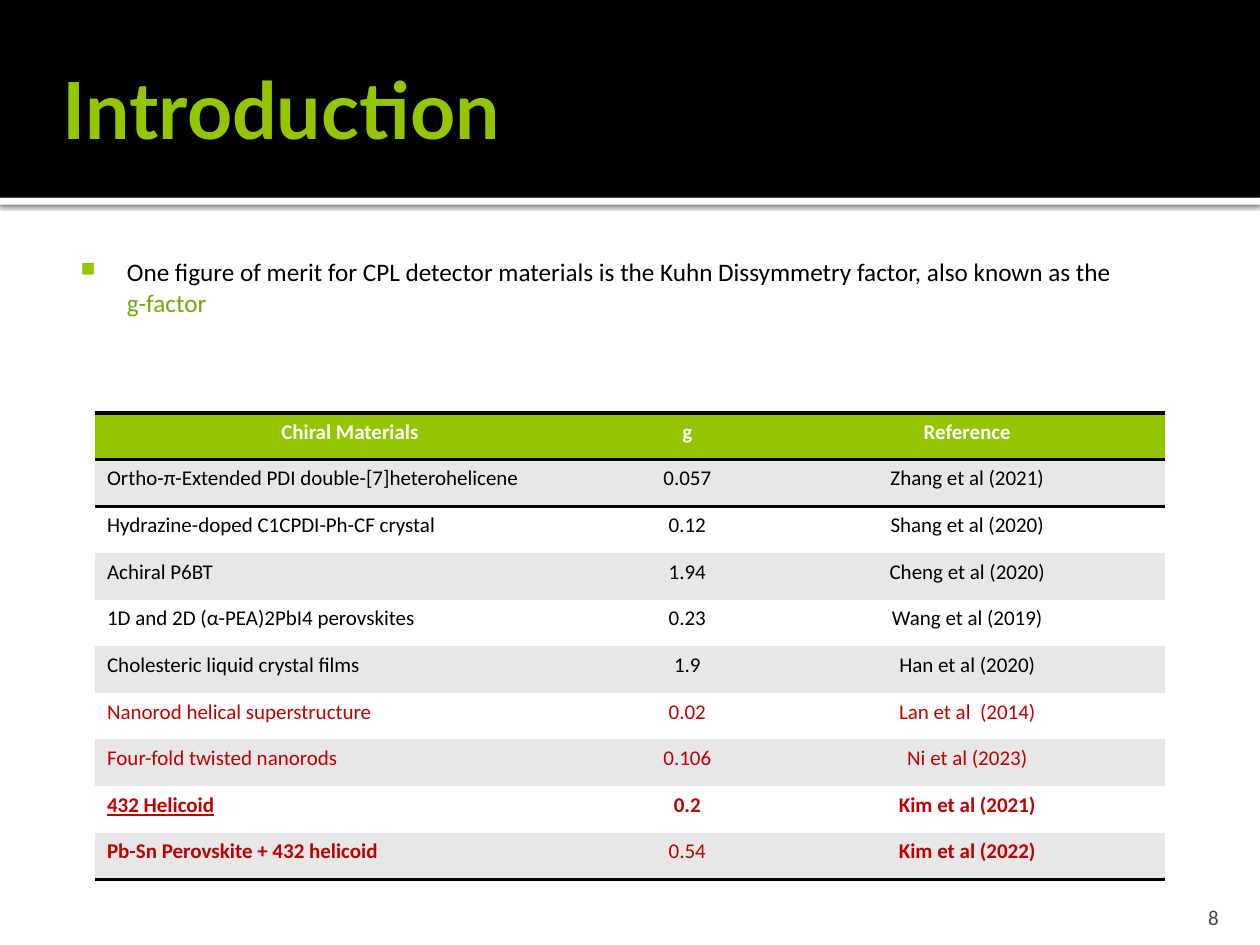
from pptx import Presentation
from pptx.dml.color import RGBColor
from pptx.enum.shapes import MSO_SHAPE as Shape
from pptx.enum.text import MSO_ANCHOR as Anchor, PP_ALIGN as Align
from pptx.oxml import parse_xml
from pptx.oxml.ns import nsdecls, qn
from pptx.util import Pt

THEME = {
    "black": "000000", "white": "FFFFFF", "green": "94C600", "dark_green": "74A510",
    "red": "C00000", "band": "E7E7E7", "grey": "454545",
    "title_font": "Lato", "font": "Calibri",
    "title_size": 45, "body_size": 14.4, "small_size": 12, "rule": 2,
}
NO_STYLE = "{2D5ABB26-0587-4C30-8999-92F81FD0307C}"

TITLE = "Introduction"
STATEMENT = ("One figure of merit for CPL detector materials is the Kuhn Dissymmetry factor, "
             "also known as the ")
KEY_TERM = "g-factor"
PAGE_NUMBER = "8"

HEADINGS = ("Chiral Materials", "g", "Reference")
MATERIALS = [
    ("Ortho-π-Extended PDI double-[7]heterohelicene", "0.057", "Zhang et al (2021)"),
    ("Hydrazine-doped C1CPDI-Ph-CF crystal", "0.12", "Shang et al (2020)"),
    ("Achiral P6BT", "1.94", "Cheng et al (2020)"),
    ("1D and 2D (α-PEA)2PbI4 perovskites", "0.23", "Wang et al (2019)"),
    ("Cholesteric liquid crystal films", "1.9", "Han et al (2020)"),
    ("Nanorod helical superstructure", "0.02", "Lan et al  (2014)"),
    ("Four-fold twisted nanorods", "0.106", "Ni et al (2023)"),
    ("432 Helicoid", "0.2", "Kim et al (2021)"),
    ("Pb-Sn Perovskite + 432 helicoid", "0.54", "Kim et al (2022)"),
]
FIRST_RED_ROW = 6
BOLD_CELLS = {(8, 0), (8, 1), (8, 2), (9, 0), (9, 2)}
UNDERLINED_CELLS = {(8, 0)}

SLIDE_SIZE = (720, 540)
HEADER_HEIGHT = 113
STRIP_HEIGHT = 4
TABLE_LEFT, TABLE_TOP = 54, 236
COLUMN_WIDTHS = (292, 93.5, 226.5)
ROW_HEIGHT = 26.65


def color(name):
    return RGBColor.from_string(THEME[name])


def add_run(paragraph, text, size, color_name, font="font", bold=False, underline=False):
    run = paragraph.add_run()
    run.text = text
    run.font.name = THEME[font]
    run.font.size = Pt(THEME[size])
    run.font.color.rgb = color(color_name)
    run.font.bold = bold
    run.font.underline = underline


def add_band(slide, top, height, color_name):
    band = slide.shapes.add_shape(Shape.RECTANGLE, 0, Pt(top), Pt(SLIDE_SIZE[0]), Pt(height))
    band.shadow.inherit = False
    band.fill.solid()
    band.fill.fore_color.rgb = color(color_name)
    band.line.fill.background()
    return band


def add_drop_shadow(shape):
    effects = shape.element.spPr.find(qn("a:effectLst"))
    effects.append(parse_xml(
        f'<a:outerShdw {nsdecls("a")} blurRad="{Pt(2.5)}" dist="{Pt(0.8)}" dir="5400000" '
        f'algn="tl" rotWithShape="0"><a:srgbClr val="{THEME["black"]}">'
        '<a:alpha val="60000"/></a:srgbClr></a:outerShdw>'))


def add_text_box(slide, box, margins, anchor=Anchor.TOP):
    """Add an empty wrapping box and return its first paragraph."""
    frame = slide.shapes.add_textbox(*map(Pt, box)).text_frame
    frame.word_wrap = True
    frame.vertical_anchor = anchor
    (frame.margin_left, frame.margin_top,
     frame.margin_right, frame.margin_bottom) = map(Pt, margins)
    return frame.paragraphs[0]


def set_bullet(paragraph):
    properties = paragraph._p.get_or_add_pPr()
    properties.set("marL", str(Pt(36.5)))
    properties.set("indent", str(Pt(-26.5)))
    for tag, content in (
        ("buClr", f'><a:srgbClr val="{THEME["green"]}"/></a:buClr>'),
        ("buSzPct", ' val="80000"/>'),
        ("buChar", ' char="■"/>'),
    ):
        properties.append(parse_xml(f'<a:{tag} {nsdecls("a")}{content}'))


def add_rule(cell, side):
    """Draw a black border on one side of a cell: T is top, B is bottom."""
    cell._tc.get_or_add_tcPr().append(parse_xml(
        f'<a:ln{side} {nsdecls("a")} w="{Pt(THEME["rule"])}"><a:solidFill>'
        f'<a:srgbClr val="{THEME["black"]}"/></a:solidFill></a:ln{side}>'))


def add_materials_table(slide):
    rows = [HEADINGS, *MATERIALS]
    last = len(rows) - 1
    table = slide.shapes.add_table(
        len(rows), len(HEADINGS), Pt(TABLE_LEFT), Pt(TABLE_TOP),
        Pt(sum(COLUMN_WIDTHS)), Pt(ROW_HEIGHT * len(rows))).table
    table._tbl.tblPr.find(qn("a:tableStyleId")).text = NO_STYLE
    for column, width in zip(table.columns, COLUMN_WIDTHS):
        column.width = Pt(width)
    for i, values in enumerate(rows):
        table.rows[i].height = Pt(ROW_HEIGHT)
        header = i == 0
        fill = "green" if header else "band" if i % 2 else "white"
        ink = "white" if header else "red" if i >= FIRST_RED_ROW else "black"
        for j, value in enumerate(values):
            cell = table.cell(i, j)
            if i in (0, 1):
                add_rule(cell, "T")
            if i in (0, last):
                add_rule(cell, "B")
            cell.fill.solid()
            cell.fill.fore_color.rgb = color(fill)
            paragraph = cell.text_frame.paragraphs[0]
            paragraph.alignment = Align.CENTER if header or j else Align.LEFT
            add_run(paragraph, value, "small_size", ink,
                    bold=header or (i, j) in BOLD_CELLS,
                    underline=(i, j) in UNDERLINED_CELLS)


def main():
    presentation = Presentation()
    presentation.slide_width, presentation.slide_height = map(Pt, SLIDE_SIZE)
    slide = presentation.slides.add_slide(presentation.slide_layouts[6])

    strip = add_band(slide, HEADER_HEIGHT, STRIP_HEIGHT, "white")
    add_drop_shadow(strip)
    add_band(slide, 0, HEADER_HEIGHT, "black")

    title = add_text_box(slide, (36, 12, 648, 99), (0, 3.6, 3.6, 3.6), Anchor.MIDDLE)
    add_run(title, TITLE, "title_size", "green", font="title_font", bold=True)

    statement = add_text_box(slide, (36, 139.5, 636, 102), (0, 7.2, 7.2, 3.6))
    set_bullet(statement)
    add_run(statement, STATEMENT, "body_size", "black")
    statement.add_line_break()
    add_run(statement, KEY_TERM, "body_size", "dark_green")

    add_materials_table(slide)

    number = add_text_box(slide, (646, 510, 57.5, 21.5), (7.2, 3.6, 7.2, 0), Anchor.BOTTOM)
    number.alignment = Align.RIGHT
    add_run(number, PAGE_NUMBER, "small_size", "grey")

    presentation.save("out.pptx")


if __name__ == "__main__":
    main()
